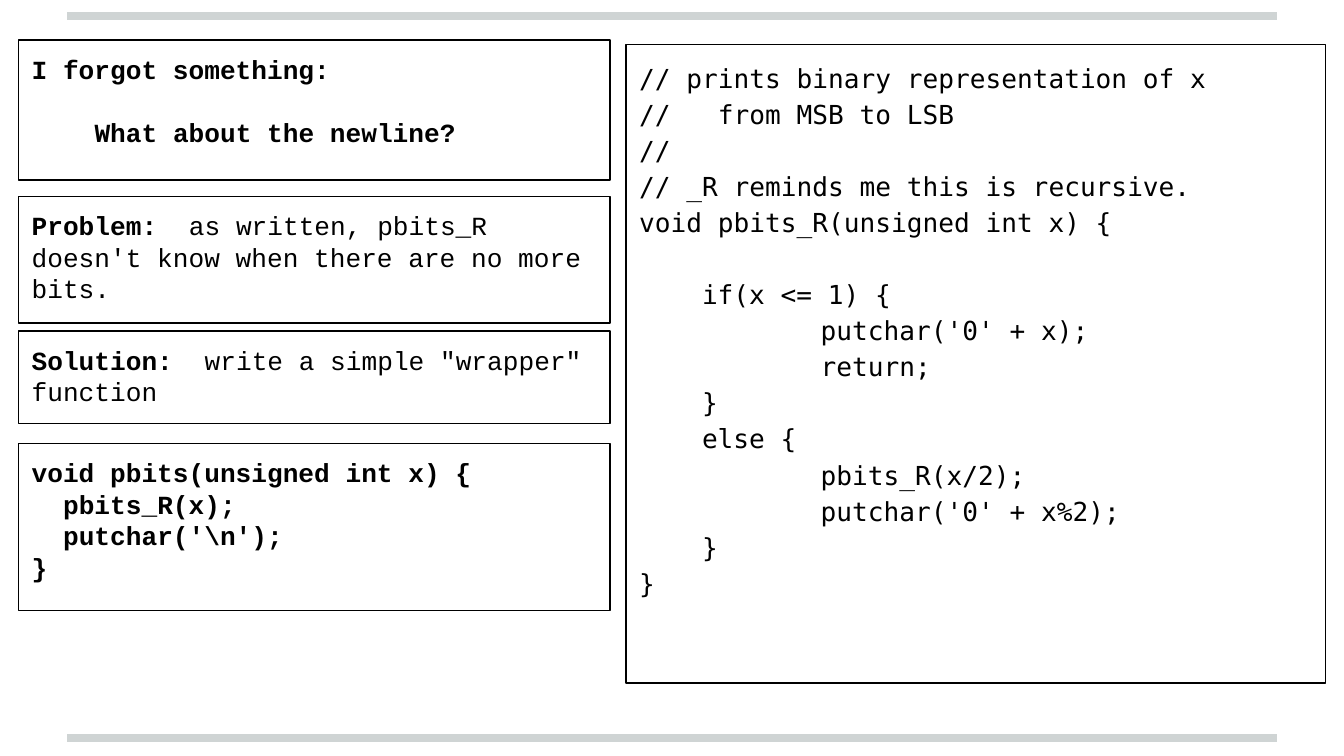
from lxml.etree import SubElement
from pptx import Presentation
from pptx.dml.color import RGBColor
from pptx.enum.shapes import MSO_CONNECTOR as Connector, MSO_SHAPE as Shape
from pptx.enum.text import MSO_ANCHOR as Anchor, PP_ALIGN as Align
from pptx.oxml.ns import qn
from pptx.util import Cm, Pt

COLORS = {"rule": "CFD4D4", "ink": "000000"}
COURIER, DEJAVU = "Courier New", "DejaVu Sans Mono"
CHAR = 0.297  # width in cm of one 14 pt monospaced character

deck = Presentation()
deck.slide_width, deck.slide_height = Cm(25.4), Cm(14.28)
slide = deck.slides.add_slide(deck.slide_layouts[6])


def add_box(lines, left, top, width, height, font=COURIER, spacing=1.0, blank=17):
    """Outlined box; a line is (indent in characters, blank line above, [(text, bold)])."""
    box = slide.shapes.add_shape(Shape.RECTANGLE, Cm(left), Cm(top), Cm(width), Cm(height))
    box.shadow.inherit = False
    box.fill.background()
    box.line.color.rgb = RGBColor.from_string(COLORS["ink"])
    box.line.width = Pt(0.75)
    frame = box.text_frame
    frame.word_wrap = True
    frame.vertical_anchor = Anchor.TOP
    frame.margin_left = frame.margin_right = Cm(0.25)
    frame.margin_top = frame.margin_bottom = Cm(0.25)
    for number, (indent, gap, pieces) in enumerate(lines):
        line = frame.paragraphs[0] if number == 0 else frame.add_paragraph()
        line.alignment = Align.LEFT
        line.line_spacing = spacing
        line.space_before = Pt(blank if gap else 0)
        properties = line._p.get_or_add_pPr()
        properties.set("marL", str(Cm(indent * CHAR)))
        properties.set("indent", "0")
        for text, bold in pieces:
            run = line.add_run()
            run.text = text
            run.font.name = font
            run.font.size = Pt(14)
            run.font.bold = bold
            run.font.color.rgb = RGBColor.from_string(COLORS["ink"])


# Rules along the top and bottom edges
for y in (13.94, 0.3):
    rule = slide.shapes.add_connector(Connector.STRAIGHT, Cm(1.27), Cm(y), Cm(24.13), Cm(y))
    rule.line.color.rgb = RGBColor.from_string(COLORS["rule"])
    rule.line.width = Pt(4)
    SubElement(rule._element.spPr, qn("a:effectLst"))

# Recursive function on the right
recursive_code = [
    (0, False, "// prints binary representation of x"),
    (0, False, "//   from MSB to LSB"),
    (0, False, "//"),
    (0, False, "// _R reminds me this is recursive."),
    (0, False, "void pbits_R(unsigned int x) {"),
    (4, True, "if(x <= 1) {"),
    (11.55, False, "putchar('0' + x);"),
    (11.55, False, "return;"),
    (4, False, "}"),
    (4, False, "else {"),
    (11.55, False, "pbits_R(x/2);"),
    (11.55, False, "putchar('0' + x%2);"),
    (4, False, "}"),
    (0, False, "}"),
]
add_box([(indent, gap, [(code, False)]) for indent, gap, code in recursive_code],
        11.83, 0.84, 13.22, 12.06, font=DEJAVU, spacing=1.15, blank=19.3)

# Question, problem, solution and wrapper on the left
notes = [
    (0.76, 2.64, [(0, False, [("I forgot something:", True)]),
                  (4, True, [("What about the newline?", True)])]),
    (3.71, 2.39, [(0, False, [("Problem:  ", True),
                              ("as written, pbits_R doesn't know when there are "
                               "no more bits.", False)])]),
    (6.25, 1.75, [(0, False, [("Solution:  ", True),
                              ('write a simple "wrapper" function', False)])]),
    (8.38, 3.15, [(0, False, [("void pbits(unsigned int x) {", True)]),
                  (2, False, [("pbits_R(x);", True)]),
                  (2, False, [("putchar('\\n');", True)]),
                  (0, False, [("}", True)])]),
]
for top, height, lines in notes:
    add_box(lines, 0.35, top, 11.18, height)

deck.save("out.pptx")
